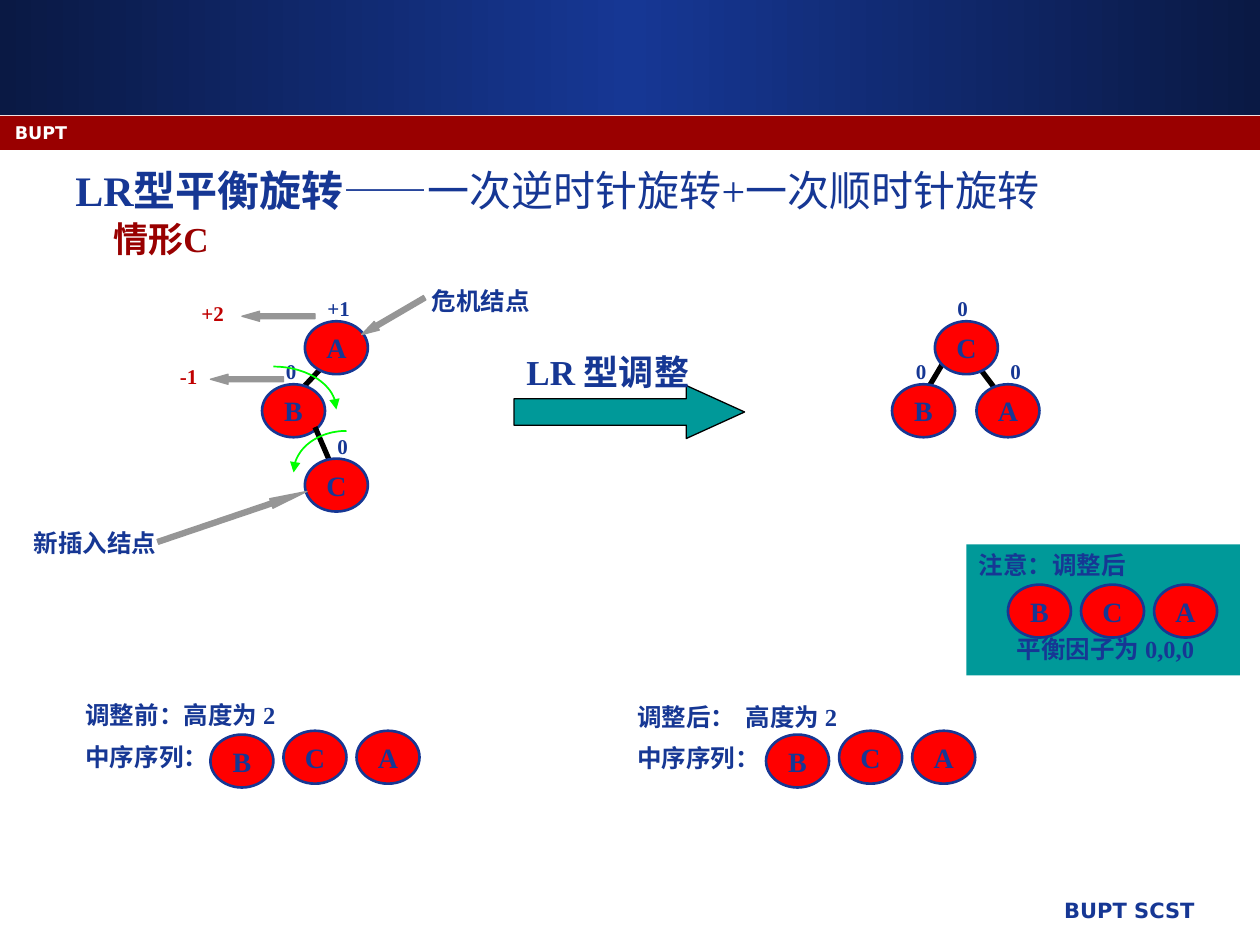
from copy import deepcopy
from dataclasses import dataclass
from math import cos, pi, sin

from lxml import etree
from pptx import Presentation
from pptx.dml.color import RGBColor
from pptx.enum.shapes import MSO_CONNECTOR, MSO_SHAPE
from pptx.enum.text import MSO_ANCHOR, PP_ALIGN
from pptx.oxml.ns import qn
from pptx.util import Inches, Pt

RECTANGLE, OVAL = MSO_SHAPE.RECTANGLE, MSO_SHAPE.OVAL
LEFT_ARROW, RIGHT_ARROW = MSO_SHAPE.LEFT_ARROW, MSO_SHAPE.RIGHT_ARROW
STRAIGHT = MSO_CONNECTOR.STRAIGHT
LEFT, CENTER, RIGHT = PP_ALIGN.LEFT, PP_ALIGN.CENTER, PP_ALIGN.RIGHT
TOP, MIDDLE = MSO_ANCHOR.TOP, MSO_ANCHOR.MIDDLE


@dataclass(frozen=True)
class Theme:
    navy: str = "163794"
    dark: str = "0A1944"
    crimson: str = "990000"
    alert: str = "C00000"
    teal: str = "009999"
    red: str = "FF0000"
    gray: str = "969696"
    green: str = "00FF00"
    black: str = "000000"
    white: str = "FFFFFF"
    serif: str = "Times New Roman"
    sans: str = "DejaVu Sans"
    title: int = 24
    heading: int = 20
    node: int = 16
    body: int = 14
    factor: int = 12
    brand: int = 10


THEME = Theme()
NODE_WIDTH, NODE_HEIGHT, SEQUENCE_STEP = 0.5, 0.42, 0.58

TITLE = [("LR型平衡旋转", True), ("——一次逆时针旋转+一次顺时针旋转", False)]
NOTE = ["注意：调整后", "平衡因子为 0,0,0"]
TREE_LAYERS = [
    {"edges": [((7.58, 2.72), (7.33, 3.14)), ((7.75, 2.89), (8, 3.22)), ((2.58, 2.89), (2.42, 3.06))],
     "nodes": [("A", 2.42, 2.55), ("B", 2.08, 3.05), ("C", 7.42, 2.55), ("B", 7.08, 3.05), ("A", 7.75, 3.05)]},
    {"edges": [((2.5, 3.39), (2.75, 3.97))], "nodes": [("C", 2.42, 3.64)]},
]
FACTORS = [
    ("+1", 2.5, 2.3, THEME.navy), ("0", 2.17, 2.8, THEME.navy), ("0", 2.58, 3.39, THEME.navy),
    ("+2", 1.5, 2.34, THEME.alert), ("-1", 1.33, 2.84, THEME.alert),
    ("0", 7.5, 2.3, THEME.navy), ("0", 7.17, 2.8, THEME.navy), ("0", 7.92, 2.8, THEME.navy),
]
POINTERS = [
    (1.67, 2.97, 0.58, 0, 1.75), (1.92, 2.47, 0.58, 0, 1.75),
    (2.83, 2.47, 0.58, 329.7, 1.75), (1.22, 4.06, 1.25, 161.3, 3.75),
]
CALLOUTS = [("危机结点", 3.33, 2.22), ("新插入结点", 0.17, 4.14)]
SUMMARIES = [
    (["调整前：高度为 2", "中序序列："], 0.58, 5.51),
    (["调整后：\t高度为 2", "中序序列："], 4.96, 5.52),
]
SEQUENCES = [(8, 4.64, 0), (1.67, 5.8, 0.03), (6.08, 5.8, 0.03)]
TURNS = [((2.17, 3.25), 0.5, 0.34), ((2.75, 3.75), -0.42, 0.33)]


def color(value):
    return RGBColor.from_string(value)


def add_span(para, text, size, ink, bold=True, font=THEME.serif):
    span = para.add_run()
    span.text = text
    span.font.name, span.font.size, span.font.bold = font, Pt(size), bold
    span.font.color.rgb = color(ink)


def add_text(slide, lines, place, size, ink=THEME.navy, align=LEFT, font=THEME.serif, tab=None):
    box = slide.shapes.add_textbox(*map(Inches, place))
    frame = box.text_frame
    frame.word_wrap = True
    for index, line in enumerate(lines):
        para = frame.paragraphs[0] if index == 0 else frame.add_paragraph()
        if tab and "\t" in line:
            tabs = etree.SubElement(para._p.get_or_add_pPr(), qn("a:tabLst"))
            etree.SubElement(tabs, qn("a:tab"), pos=str(Inches(tab)), algn="l")
        para.alignment = align
        if index:
            para.space_before = Pt(size / 2)
        add_span(para, line, size, ink, font=font)


def add_block(slide, kind, place, fill, line=None, width=0.75):
    block = slide.shapes.add_shape(kind, *map(Inches, place))
    block.shadow.inherit = False
    block.fill.solid()
    block.fill.fore_color.rgb = color(fill)
    if line:
        block.line.color.rgb = color(line)
        block.line.width = Pt(width)
    else:
        block.line.fill.background()
    return block


def add_node(slide, label, left, top):
    node = add_block(slide, OVAL, (left, top, NODE_WIDTH, NODE_HEIGHT), THEME.red, THEME.navy, 1.5)
    frame = node.text_frame
    frame.word_wrap, frame.vertical_anchor = False, MIDDLE
    frame.paragraphs[0].alignment = CENTER
    add_span(frame.paragraphs[0], label, THEME.node, THEME.navy)


def add_edge(slide, start, end):
    edge = slide.shapes.add_connector(STRAIGHT, *map(Inches, start + end))
    edge.line.color.rgb = color(THEME.black)
    edge.line.width = Pt(3)
    etree.SubElement(edge._element.spPr, qn("a:effectLst"))


def add_arrow(slide, kind, place, ink, line, length, rotation=0):
    arrow = add_block(slide, kind, place, ink, line)
    arrow.adjustments[0], arrow.adjustments[1] = 0.5, length
    arrow.rotation = rotation


def add_turn(slide, center, reach, rise, steps=24):
    angles = [pi / 2 * step / steps for step in range(steps + 1)]
    points = [(Inches(center[0] + reach * sin(angle)), Inches(center[1] - rise * cos(angle))) for angle in angles]
    builder = slide.shapes.build_freeform(*points[0])
    builder.add_line_segments(points[1:], close=False)
    turn = builder.convert_to_shape()
    turn.shadow.inherit = False
    turn.fill.background()
    turn.line.color.rgb = color(THEME.green)
    turn.line.width = Pt(1)
    etree.SubElement(turn.line._get_or_add_ln(), qn("a:tailEnd"), type="triangle")


def add_header(slide):
    banner = add_block(slide, RECTANGLE, (0, 0, 10, 0.91), THEME.navy)
    banner.fill.gradient()
    banner.fill.gradient_angle = 0
    stop_list = banner._element.spPr.find(".//" + qn("a:gsLst"))
    stop_list.append(deepcopy(stop_list[0]))
    for stop, position, ink in zip(banner.fill.gradient_stops, (0, 0.5, 1), (THEME.dark, THEME.navy, THEME.dark)):
        stop.position, stop.color.rgb = position, color(ink)
    add_block(slide, RECTANGLE, (0, 0.92, 10, 0.27), THEME.crimson)
    add_text(slide, ["BUPT"], (0.02, 0.92, 9.25, 0.25), THEME.brand, THEME.white, font=THEME.sans)
    add_text(slide, ["BUPT SCST"], (4.21, 7.07, 5.37, 0.35), THEME.factor, align=RIGHT, font=THEME.sans)


def add_title(slide):
    box = slide.shapes.add_textbox(*map(Inches, (0.5, 1.26, 9, 0.5)))
    box.text_frame.word_wrap = True
    for text, bold in TITLE:
        add_span(box.text_frame.paragraphs[0], text, THEME.title, THEME.navy, bold)


def add_note(slide):
    frame = add_block(slide, RECTANGLE, (7.67, 4.32, 2.17, 1.04), THEME.teal).text_frame
    frame.vertical_anchor, frame.word_wrap = TOP, True
    first, second = frame.paragraphs[0], frame.add_paragraph()
    second._p.get_or_add_pPr().set("marL", str(Inches(0.3)))
    second.space_before = Pt(31)
    for para, text in zip((first, second), NOTE):
        para.alignment = LEFT
        add_span(para, text, THEME.body, THEME.navy)


def main():
    """Build the LR rotation slide."""
    deck = Presentation()
    deck.slide_width, deck.slide_height = Inches(10), Inches(7.5)
    slide = deck.slides.add_slide(deck.slide_layouts[6])
    add_header(slide)
    add_title(slide)
    add_note(slide)
    for layer in TREE_LAYERS:
        for start, end in layer["edges"]:
            add_edge(slide, start, end)
        for label, left, top in layer["nodes"]:
            add_node(slide, label, left, top)
    for text, left, top, ink in FACTORS:
        add_text(slide, [text], (left, top, 0.42, 0.3), THEME.factor, ink)
    for left, top, width, rotation, length in POINTERS:
        add_arrow(slide, LEFT_ARROW, (left, top, width, 0.08), THEME.gray, THEME.gray, length, rotation)
    add_arrow(slide, RIGHT_ARROW, (4.08, 3.06, 1.83, 0.42), THEME.teal, THEME.black, 1.1)
    add_text(slide, ["LR 型调整"], (4.08, 2.73, 1.58, 0.43), THEME.heading)
    add_text(slide, ["情形C"], (0.8, 1.68, 0.96, 0.43), THEME.heading, THEME.crimson)
    for text, left, top in CALLOUTS:
        add_text(slide, [text], (left, top, 1.33, 0.33), THEME.body)
    for lines, left, top in SUMMARIES:
        add_text(slide, lines, (left, top, 3.17, 0.69), THEME.body, tab=0.86)
    for left, top, drop in SEQUENCES:
        for index, label in enumerate("BCA"):
            add_node(slide, label, left + index * SEQUENCE_STEP, top + (drop if index == 0 else 0))
    for center, reach, rise in TURNS:
        add_turn(slide, center, reach, rise)
    deck.save("out.pptx")


if __name__ == "__main__":
    main()
